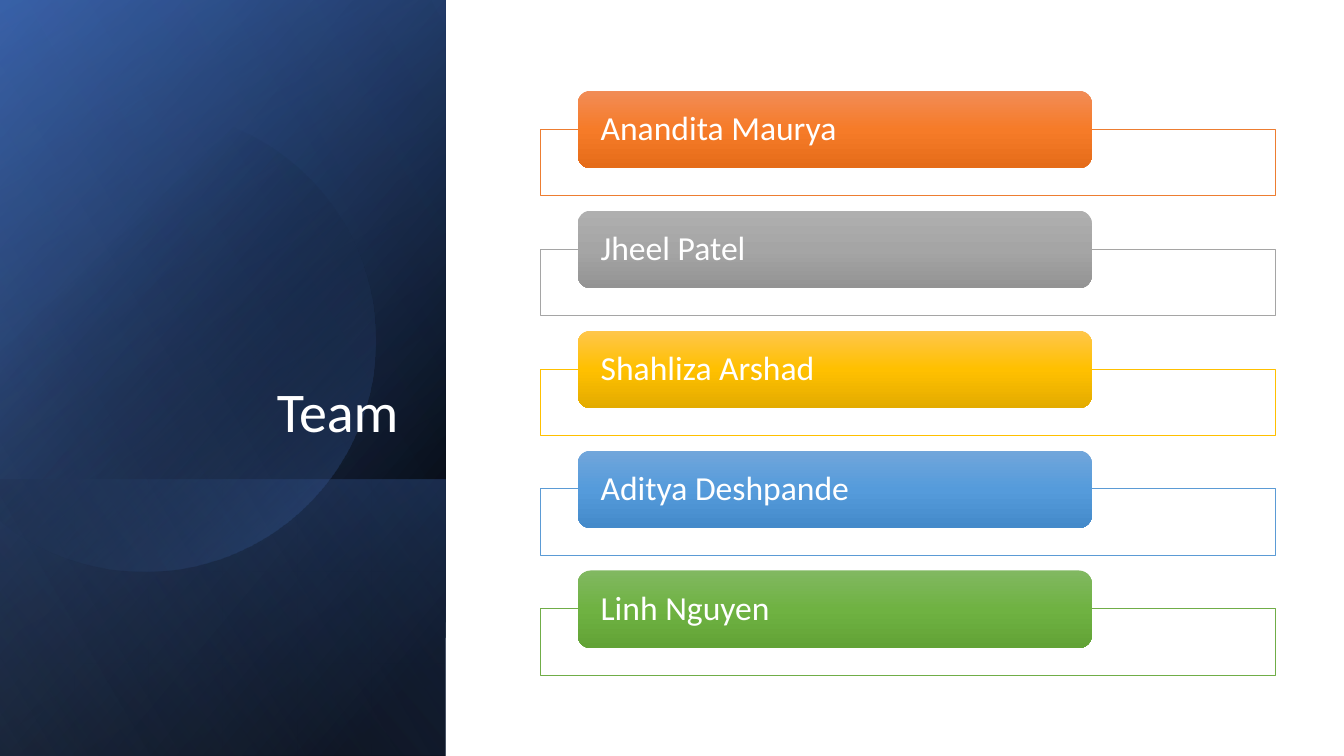
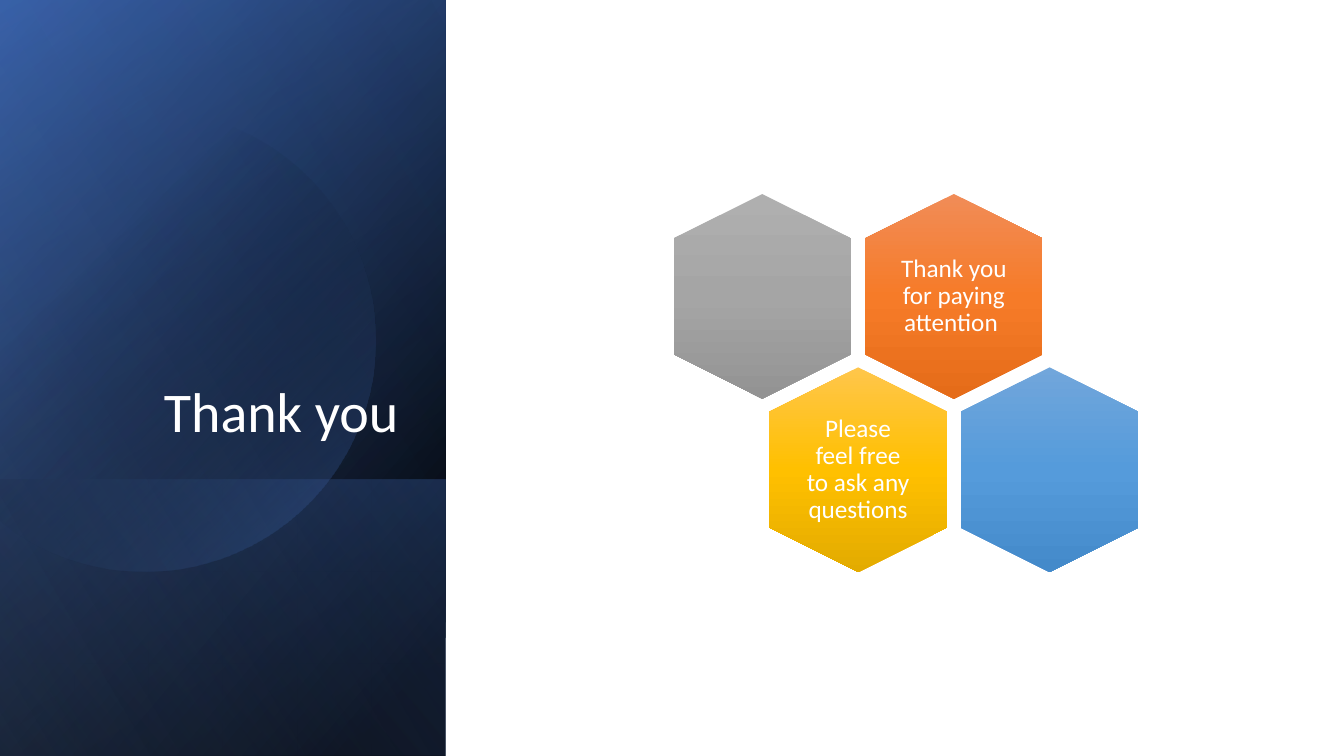
"""Builds the team and thank-you slides, which share a dark gradient side panel."""
from dataclasses import dataclass
from math import acos, cos, pi, sin

from lxml import etree
from pptx import Presentation
from pptx.dml.color import RGBColor
from pptx.enum.shapes import MSO_SHAPE
from pptx.enum.text import MSO_ANCHOR, PP_ALIGN
from pptx.oxml.ns import qn
from pptx.util import Inches, Pt

RECTANGLE, ROUNDED, HEXAGON = MSO_SHAPE.RECTANGLE, MSO_SHAPE.ROUNDED_RECTANGLE, MSO_SHAPE.HEXAGON
LEFT, CENTER, RIGHT = PP_ALIGN.LEFT, PP_ALIGN.CENTER, PP_ALIGN.RIGHT
MIDDLE, BOTTOM = MSO_ANCHOR.MIDDLE, MSO_ANCHOR.BOTTOM


@dataclass(frozen=True)
class Theme:
    """Colours, font and type sizes."""
    font: str = "Calibri"
    title_size: int = 40
    name_size: int = 24
    message_size: int = 18
    white: str = "FFFFFF"
    black: str = "000000"
    navy: str = "2F5597"
    blue: str = "4472C4"
    pale_blue: str = "8FAADC"


THEME = Theme()
ACCENTS = {
    "orange": ("ED7D31", ("F18C57", "F67B28", "E56C19")),
    "gray": ("A5A5A5", ("AFAFAF", "A5A5A5", "939393")),
    "gold": ("FFC000", ("FFC64B", "FFC000", "E3AB00")),
    "sky": ("5B9BD5", ("71A6DB", "559BDB", "448ACA")),
    "green": ("70AD47", ("81B861", "6FB242", "62A336")),
}

TEAM = [
    ("Anandita Maurya", "orange"),
    ("Jheel Patel", "gray"),
    ("Shahliza Arshad", "gold"),
    ("Aditya Deshpande", "sky"),
    ("Linh Nguyen ", "green"),
]
CLOSING = [
    [("", "gray"), ("Thank you for paying attention ", "orange")],
    [("Please feel free to ask any questions", "gold"), ("", "sky")],
]

PANEL_WIDTH, SLIDE_HEIGHT = 4.42, 7.5
LOWER_TOP = 4.76
PANEL_BASE = [
    (0, [(8, THEME.black, 100), (100, THEME.navy, 100)], 50),
    (0, [(0, THEME.black, 0), (99, THEME.blue, 46)], 30),
    (LOWER_TOP, [(2, THEME.blue, 29), (100, THEME.black, 30)], 130),
]
PANEL_GLOW = (0, [(0, THEME.black, 0), (99, THEME.pale_blue, 11)], 120)
DISC_STOPS = [(29, THEME.black, 0), (100, THEME.blue, 43)]
DISC_X, DISC_Y, DISC_RADIUS, DISC_STEPS = 1.43, 3.38, 2.29, 120


def set_gradient(shape, stops, angle, turns_with_shape=True):
    """Fill a shape with a linear gradient of (position, colour, opacity) stops."""
    shape.shadow.inherit = False
    shape.line.fill.background()
    shape.fill.gradient()
    gradient = shape.fill._xPr.find(qn("a:gradFill"))
    for child in list(gradient):
        gradient.remove(child)
    gradient.set("rotWithShape", str(int(turns_with_shape)))
    stop_list = etree.SubElement(gradient, qn("a:gsLst"))
    for position, color, opacity in stops:
        stop = etree.SubElement(stop_list, qn("a:gs"), pos=str(position * 1000))
        rgb = etree.SubElement(stop, qn("a:srgbClr"), val=color)
        if opacity < 100:
            etree.SubElement(rgb, qn("a:alpha"), val=str(opacity * 1000))
    etree.SubElement(gradient, qn("a:lin"), ang=str(angle * 60000), scaled="0")


def accent_stops(accent):
    return [(50 * i, color, 100) for i, color in enumerate(ACCENTS[accent][1])]


def set_text(shape, text, size, align, anchor, inset_x=0.1, inset_y=0.05):
    frame = shape.text_frame
    frame.text = text
    frame.word_wrap = True
    frame.vertical_anchor = anchor
    frame.margin_left = frame.margin_right = Inches(inset_x)
    frame.margin_top = frame.margin_bottom = Inches(inset_y)
    paragraph = frame.paragraphs[0]
    paragraph.alignment = align
    paragraph.line_spacing = 0.9
    font = paragraph.runs[0].font
    font.name, font.size = THEME.font, Pt(size)
    font.color.rgb = RGBColor.from_string(THEME.white)


def add_box(slide, preset, left, top, width, height):
    return slide.shapes.add_shape(preset, Inches(left), Inches(top), Inches(width), Inches(height))


def add_turned(slide, preset, center_x, center_y, width, height):
    """Add a shape turned by 90 degrees, given its size as seen on the slide."""
    shape = add_box(slide, preset, center_x - height / 2, center_y - width / 2, height, width)
    shape.rotation = 90
    return shape


def add_panel_layer(slide, top, stops, angle):
    layer = add_turned(slide, RECTANGLE, PANEL_WIDTH / 2, (top + SLIDE_HEIGHT) / 2,
                       PANEL_WIDTH, SLIDE_HEIGHT - top)
    layer._element.spPr.find(qn("a:xfrm")).set("flipH", "1")
    set_gradient(layer, stops, angle)


def add_disc(slide):
    """Add the disc that is cut off at the left edge of the slide."""
    reach = acos(-DISC_X / DISC_RADIUS)
    angles = [reach * (2 * i / DISC_STEPS - 1) for i in range(DISC_STEPS + 1)]
    points = [(Inches(max(0, DISC_X + DISC_RADIUS * cos(a))), Inches(DISC_Y + DISC_RADIUS * sin(a)))
              for a in angles]
    outline = slide.shapes.build_freeform(*points[0])
    outline.add_line_segments(points[1:], close=True)
    set_gradient(outline.convert_to_shape(), DISC_STOPS, 46)


def add_titled_slide(deck, title):
    slide = deck.slides.add_slide(deck.slide_layouts[6])
    for layer in PANEL_BASE:
        add_panel_layer(slide, *layer)
    add_disc(slide)
    add_panel_layer(slide, *PANEL_GLOW)
    heading = slide.shapes.add_textbox(Inches(0.64), Inches(1.84), Inches(3.41), Inches(2.62))
    set_text(heading, title, THEME.title_size, RIGHT, BOTTOM)
    return slide


def add_team(slide):
    first_top, pitch = 0.9, 1.19
    for row, (name, accent) in enumerate(TEAM):
        top = first_top + row * pitch
        frame = add_box(slide, RECTANGLE, 5.36, top + 0.38, 7.29, 0.66)
        frame.shadow.inherit = False
        frame.fill.solid()
        frame.fill.fore_color.rgb = RGBColor.from_string(THEME.white)
        frame.line.color.rgb = RGBColor.from_string(ACCENTS[accent][0])
        frame.line.width = Pt(0.5)
        label = add_box(slide, ROUNDED, 5.73, top, 5.1, 0.77)
        set_gradient(label, accent_stops(accent), 90)
        set_text(label, name, THEME.name_size, LEFT, MIDDLE, 0.19, 0)


def add_closing(slide):
    width, height = 1.76, 2.03
    pitch_x, pitch_y = 1.9, 1.72
    text_width, text_height = 1.21, 1.39
    for row, messages in enumerate(CLOSING):
        for column, (message, accent) in enumerate(messages):
            x = 7.56 + (column + row / 2) * pitch_x
            y = 2.94 + row * pitch_y
            cell = add_turned(slide, HEXAGON, x, y, width, height)
            set_gradient(cell, accent_stops(accent), 90, turns_with_shape=False)
            if message:
                caption = slide.shapes.add_textbox(
                    Inches(x - text_width / 2), Inches(y - text_height / 2),
                    Inches(text_width), Inches(text_height))
                set_text(caption, message, THEME.message_size, CENTER, MIDDLE, 0.07, 0.07)


def main():
    deck = Presentation()
    deck.slide_width, deck.slide_height = Inches(13.33), Inches(SLIDE_HEIGHT)
    add_team(add_titled_slide(deck, "Team"))
    add_closing(add_titled_slide(deck, "Thank you"))
    deck.save("out.pptx")


if __name__ == "__main__":
    main()
